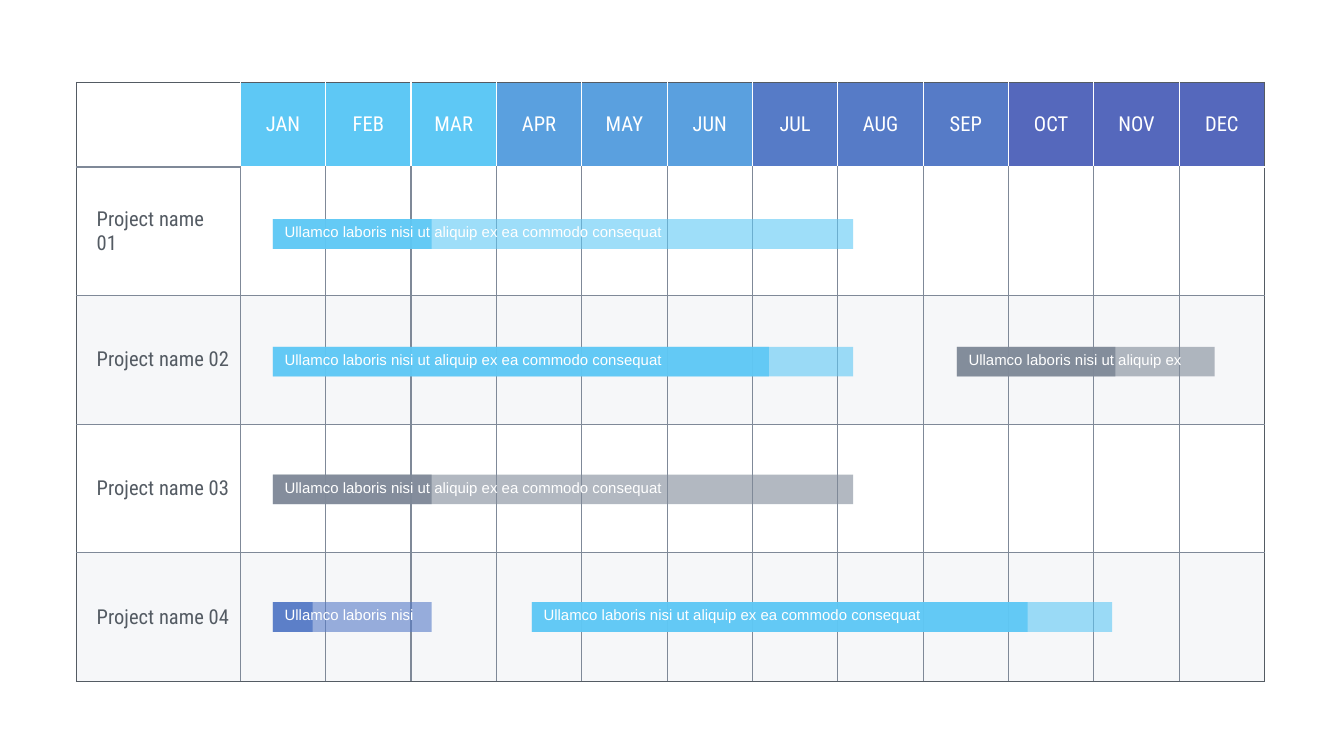
import dataclasses
from typing import Any

import pptx
import pptx.dml.color
import pptx.enum.shapes
import pptx.enum.text
import pptx.oxml
import pptx.oxml.ns
import pptx.util

Pt = pptx.util.Pt
ALIGN = pptx.enum.text.PP_ALIGN
ANCHOR = pptx.enum.text.MSO_ANCHOR


@dataclasses.dataclass(frozen=True)
class Theme:
    white: str = "FFFFFF"
    ink: str = "545B63"
    gray: str = "7F8998"
    band: str = "EEF0F4"
    sky: str = "5EC8F5"
    blue: str = "5AA0DF"
    royal: str = "567BC7"
    indigo: str = "5568BC"
    heading_font: str = "Roboto Condensed"
    body_font: str = "Arial"
    table_size: float = 11
    bar_size: float = 8
    border_width: float = 0.75


@dataclasses.dataclass(frozen=True)
class Task:
    row: int
    left: float
    width: float
    done: float
    color: str
    label: str


THEME = Theme()

# Table grid, in points
TABLE_LEFT, TABLE_TOP = 41, 44.2
NAME_WIDTH, MONTH_WIDTH = 87.8, 45.75
HEADER_HEIGHT, ROW_HEIGHT = 45.3, 68.9

# Task bars, in points
BAR_TOP, BAR_STEP, BAR_HEIGHT = 117.4, 68.4, 15.9
LABEL_INSET, LABEL_HEIGHT, LABEL_MAX_WIDTH = 3.6, 13, 224

MONTHS = "JAN FEB MAR APR MAY JUN JUL AUG SEP OCT NOV DEC".split()
QUARTER_COLORS = (THEME.sky, THEME.blue, THEME.royal, THEME.indigo)
PROJECTS = ("Project name\n01", "Project name 02", "Project name 03", "Project name 04")
LONG_LABEL = "Ullamco laboris nisi ut aliquip ex ea commodo consequat"

TASKS = (
    Task(0, 146.2, 310.9, 85, THEME.sky, LONG_LABEL),
    Task(3, 146.2, 85, 21.3, THEME.royal, "Ullamco laboris nisi"),
    Task(1, 146.2, 310.9, 265.7, THEME.sky, LONG_LABEL),
    Task(2, 146.2, 310.9, 85, THEME.gray, LONG_LABEL),
    Task(3, 284.9, 310.9, 265.7, THEME.sky, LONG_LABEL),
    Task(1, 512.6, 138.2, 85, THEME.gray, "Ullamco laboris nisi ut aliquip ex"),
)


def rgb(color: str) -> pptx.dml.color.RGBColor:
    return pptx.dml.color.RGBColor.from_string(color)


def write_text(frame: Any, text: str, *, font: str, size: float, color: str,
               align: Any = ALIGN.LEFT) -> None:
    """Fill a text frame, one paragraph per line."""
    frame.text = text
    frame.word_wrap = True
    for paragraph in frame.paragraphs:
        paragraph.alignment = align
        for run in paragraph.runs:
            run.font.name = font
            run.font.size = Pt(size)
            run.font.color.rgb = rgb(color)


def set_fill(fill: Any, properties: Any, color: str, opacity: int = 100) -> None:
    """Apply a solid fill; properties is the XML element that holds it."""
    fill.solid()
    fill.fore_color.rgb = rgb(color)
    if opacity < 100:
        color_element = properties.find(pptx.oxml.ns.qn("a:solidFill"))[0]
        color_element.append(pptx.oxml.parse_xml(
            f'<a:alpha {pptx.oxml.ns.nsdecls("a")} val="{opacity * 1000}"/>'))


def set_borders(properties: Any, row: int, column: int) -> None:
    """Dark outer frame, white header lines, gray lines elsewhere."""
    header = row == 0
    upright = THEME.white if header else THEME.gray
    under_header = THEME.white if column > 0 else THEME.gray
    colors = {
        "L": THEME.ink if column == 0 else upright,
        "R": THEME.ink if column == len(MONTHS) else upright,
        "T": THEME.ink if header else under_header if row == 1 else THEME.gray,
        "B": THEME.ink if row == len(PROJECTS) else under_header if header else THEME.gray,
    }
    for side, color in colors.items():
        properties.append(pptx.oxml.parse_xml(
            f'<a:ln{side} {pptx.oxml.ns.nsdecls("a")} w="{Pt(THEME.border_width)}">'
            f'<a:solidFill><a:srgbClr val="{color}"/></a:solidFill></a:ln{side}>'))


def draw_cell(cell: Any, row: int, column: int) -> None:
    cell.vertical_anchor = ANCHOR.MIDDLE
    cell.margin_left = Pt(10.8 if column == 0 else 2.7)
    cell.margin_right = Pt(2.7)
    cell.margin_top = cell.margin_bottom = Pt(1.35)
    properties = cell._tc.get_or_add_tcPr()
    set_borders(properties, row, column)

    if row == 0 and column > 0:
        set_fill(cell.fill, properties, QUARTER_COLORS[(column - 1) // 3])
        write_text(cell.text_frame, MONTHS[column - 1], font=THEME.heading_font,
                   size=THEME.table_size, color=THEME.white, align=ALIGN.CENTER)
    elif row > 0 and row % 2 == 0:
        set_fill(cell.fill, properties, THEME.band, 50)
    else:
        cell.fill.background()

    if row > 0 and column == 0:
        write_text(cell.text_frame, PROJECTS[row - 1], font=THEME.heading_font,
                   size=THEME.table_size, color=THEME.ink)


def draw_table(slide: Any) -> None:
    widths = [NAME_WIDTH] + [MONTH_WIDTH] * len(MONTHS)
    heights = [HEADER_HEIGHT] + [ROW_HEIGHT] * len(PROJECTS)
    table = slide.shapes.add_table(
        len(heights), len(widths), Pt(TABLE_LEFT), Pt(TABLE_TOP),
        Pt(sum(widths)), Pt(sum(heights))).table
    table.first_row = table.horz_banding = False
    for column, width in zip(table.columns, widths):
        column.width = Pt(width)
    for row, height in zip(table.rows, heights):
        row.height = Pt(height)
    for row in range(len(heights)):
        for column in range(len(widths)):
            draw_cell(table.cell(row, column), row, column)


def draw_task(slide: Any, task: Task) -> None:
    group = slide.shapes.add_group_shape()
    top = BAR_TOP + BAR_STEP * task.row

    # Whole span, then the completed part over it
    for width, opacity in ((task.width, 60), (task.done, 90)):
        bar = group.shapes.add_shape(
            pptx.enum.shapes.MSO_SHAPE.RECTANGLE,
            Pt(task.left), Pt(top), Pt(width), Pt(BAR_HEIGHT))
        bar.shadow.inherit = False
        bar.line.fill.background()
        set_fill(bar.fill, bar.element.spPr, task.color, opacity)

    # Label
    label_width = min(LABEL_MAX_WIDTH, task.width - LABEL_INSET)
    label = group.shapes.add_textbox(
        Pt(task.left + LABEL_INSET), Pt(top + 0.7), Pt(label_width), Pt(LABEL_HEIGHT))
    frame = label.text_frame
    frame.margin_left = frame.margin_right = Pt(2.7)
    frame.margin_top = frame.margin_bottom = Pt(1.35)
    write_text(frame, task.label, font=THEME.body_font, size=THEME.bar_size,
               color=THEME.white)


def main() -> None:
    presentation = pptx.Presentation()
    presentation.slide_width, presentation.slide_height = Pt(720), Pt(405)
    slide = presentation.slides.add_slide(presentation.slide_layouts[6])
    draw_table(slide)
    for task in TASKS:
        draw_task(slide, task)
    presentation.save("out.pptx")


if __name__ == "__main__":
    main()
